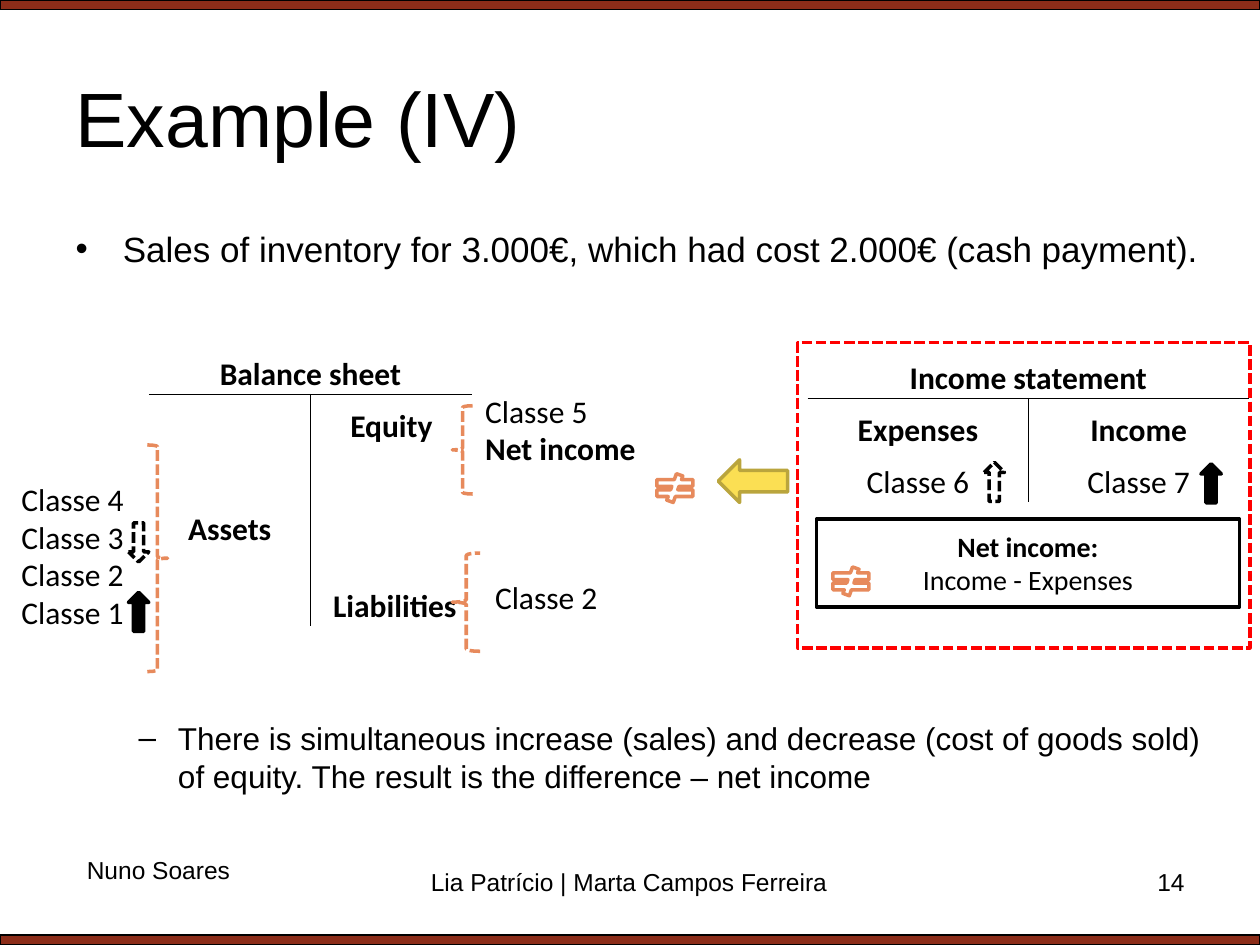
from lxml.etree import SubElement
from pptx import Presentation
from pptx.dml.color import RGBColor
from pptx.enum.dml import MSO_LINE
from pptx.enum.shapes import MSO_SHAPE
from pptx.enum.text import MSO_ANCHOR, MSO_AUTO_SIZE, PP_ALIGN
from pptx.oxml.ns import qn
from pptx.util import Cm, Pt

COLORS = {"black": "000000", "white": "FFFFFF", "bar": "8C2D19", "orange": "E78A5C",
          "red": "FF0000", "yellow": "FBDF53", "olive": "BAA53D"}


def rgb(name):
    return RGBColor.from_string(COLORS[name])


def format_paragraph(p, size, font="Calibri", bold=False, align=PP_ALIGN.LEFT):
    p.alignment = align
    p.font.size, p.font.name, p.font.bold = Pt(size), font, bold
    p.font.color.rgb = rgb("black")


def write_lines(tf, lines, size, font="Calibri", align=PP_ALIGN.LEFT, bold_lines=()):
    tf.text = "\n".join(lines)
    for p in tf.paragraphs:
        format_paragraph(p, size, font, p.text in bold_lines, align)


def place(sp, left, top, width, height):
    sp.left, sp.top, sp.width, sp.height = Cm(left), Cm(top), Cm(width), Cm(height)


def add_text(s, box, lines, size, font="Calibri", align=PP_ALIGN.LEFT, wrap=False, bold_lines=()):
    tf = s.shapes.add_textbox(*map(Cm, box)).text_frame
    tf.word_wrap = wrap
    write_lines(tf, lines, size, font, align, bold_lines)


def add_shape(s, kind, box, line, fill=None, width=2, dashed=False):
    sp = s.shapes.add_shape(kind, *map(Cm, box))
    sp.shadow.inherit = False
    if fill:
        sp.fill.solid()
        sp.fill.fore_color.rgb = rgb(fill)
    else:
        sp.fill.background()
    sp.line.color.rgb = rgb(line)
    sp.line.width = Pt(width)
    if dashed:
        sp.line.dash_style = MSO_LINE.SQUARE_DOT
    return sp


def set_borders(cell, visible):
    """Draw thin black lines on the visible sides and none on the others."""
    tc_pr = cell._tc.get_or_add_tcPr()
    for side in "LRTB":
        ln = SubElement(tc_pr, qn(f"a:ln{side}"), w=str(Pt(0.5)))
        if side in visible:
            fill = SubElement(ln, qn("a:solidFill"))
            SubElement(fill, qn("a:srgbClr"), val=COLORS["black"])
        else:
            SubElement(ln, qn("a:noFill"))


def add_t_account(s, left, top, col_width, row_heights, texts, plain=()):
    """Add a T-account: a ruled heading over two columns split by a line."""
    rows = len(row_heights)
    frame = s.shapes.add_table(rows, 2, Cm(left), Cm(top),
                               Cm(2 * col_width), Cm(sum(row_heights)))
    table = frame.table
    table.first_row = table.horz_banding = False
    for col in table.columns:
        col.width = Cm(col_width)
    for r, height in enumerate(row_heights):
        table.rows[r].height = Cm(height)
        for c in range(2):
            cell = table.cell(r, c)
            sides = "B" if r == 0 else "RL"[c] + ("T" if r == 1 else "")
            set_borders(cell, sides)
            cell.fill.background()
            cell.margin_left = cell.margin_right = cell.margin_top = Cm(0.03)
            cell.margin_bottom = 0
            cell.vertical_anchor = MSO_ANCHOR.BOTTOM
            text = texts.get((r, c), "")
            cell.text = text
            format_paragraph(cell.text_frame.paragraphs[0], 18,
                             bold=text not in plain, align=PP_ALIGN.CENTER)
    table.cell(0, 0).merge(table.cell(0, 1))


def fill_placeholders(s):
    title, body = s.placeholders
    place(title, 1.27, 0.76, 22.86, 3.18)
    title.text_frame.vertical_anchor = MSO_ANCHOR.MIDDLE
    write_lines(title.text_frame, ["Example (IV)"], 44, "Arial")

    place(body, 1.27, 4.45, 23.72, 12.57)
    tf = body.text_frame
    tf.auto_size = MSO_AUTO_SIZE.NONE
    write_lines(tf, [
        "Sales of inventory for 3.000€, which had cost 2.000€ (cash payment).",
        "There is simultaneous increase (sales) and decrease (cost of goods sold) "
        "of equity. The result is the difference – net income",
    ], 20, "Arial")
    conclusion = tf.paragraphs[1]
    conclusion.level = 1
    conclusion.font.size = Pt(18)
    conclusion.space_before = Pt(257)


def add_balance_sheet(s):
    add_t_account(s, 3, 6.91, 3.26, [1.04] * 4 + [1.55], {
        (0, 0): "Balance sheet", (1, 1): "Equity",
        (3, 0): "Assets", (4, 1): " Liabilities"})
    for kind, box in [(MSO_SHAPE.RIGHT_BRACE, (2.97, 8.97, 0.41, 4.57)),
                      (MSO_SHAPE.LEFT_BRACE, (9.12, 11.15, 0.56, 1.98)),
                      (MSO_SHAPE.LEFT_BRACE, (9.12, 8.18, 0.41, 1.78))]:
        add_shape(s, kind, box, "orange", "white", dashed=True)
    add_text(s, (0.18, 9.55, 2.59, 3.33), [f"Classe {n}" for n in (4, 3, 2, 1)], 18)
    add_text(s, (9.73, 11.53, 2.59, 1.02), ["Classe 2"], 18)
    add_text(s, (9.53, 7.77, 3.58, 1.8), ["Classe 5", "Net income"], 18,
             bold_lines=["Net income"])


def add_income_statement(s):
    add_t_account(s, 16.28, 6.99, 4.45, [1.04] * 3, {
        (0, 0): "Income statement", (1, 0): "Expenses", (1, 1): "Income",
        (2, 0): "Classe 6", (2, 1): "Classe 7"}, plain=("Classe 6", "Classe 7"))
    result = add_shape(s, MSO_SHAPE.RECTANGLE, (16.46, 10.46, 8.53, 1.78), "black")
    write_lines(result.text_frame, ["Net income:", "Income - Expenses"], 16,
                align=PP_ALIGN.CENTER, bold_lines=["Net income:"])
    add_shape(s, MSO_SHAPE.RECTANGLE, (16.08, 6.91, 9.12, 6.15), "red", dashed=True)


def add_change_marks(s):
    add_shape(s, MSO_SHAPE.LEFT_ARROW, (14.48, 9.27, 1.4, 0.86), "olive", "yellow")
    for kind, left, top, fill in [(MSO_SHAPE.DOWN_ARROW, 2.59, 10.54, None),
                                  (MSO_SHAPE.UP_ARROW, 2.59, 11.94, "black"),
                                  (MSO_SHAPE.UP_ARROW, 24.21, 9.35, "black"),
                                  (MSO_SHAPE.UP_ARROW, 19.84, 9.32, None)]:
        add_shape(s, kind, (left, top, 0.41, 0.79), "black", fill, dashed=fill is None)
    for left, top in [(16.66, 11.43), (13.11, 9.55)]:
        add_shape(s, MSO_SHAPE.MATH_NOT_EQUAL, (left, top, 0.99, 0.58), "orange", "white")


def add_footer(s):
    add_text(s, (1.5, 17.12, 3.43, 0.86), ["Nuno Soares"], 14, "Arial")
    add_text(s, (8.28, 17.35, 8.81, 1.32), ["Lia Patrício | Marta Campos Ferreira"],
             14, "Arial", PP_ALIGN.CENTER, wrap=True)
    add_text(s, (18.21, 17.35, 5.92, 1.32), ["14"], 14, "Arial", PP_ALIGN.RIGHT, wrap=True)


def main():
    prs = Presentation()
    prs.slide_width, prs.slide_height = Cm(25.4), Cm(19.05)
    s = prs.slides.add_slide(prs.slide_layouts[1])
    for top in (0, 18.85):
        add_shape(s, MSO_SHAPE.RECTANGLE, (0, top, 25.4, 0.2), "black", "bar", width=0.75)
    fill_placeholders(s)
    add_balance_sheet(s)
    add_income_statement(s)
    add_change_marks(s)
    add_footer(s)
    prs.save("out.pptx")


if __name__ == "__main__":
    main()
